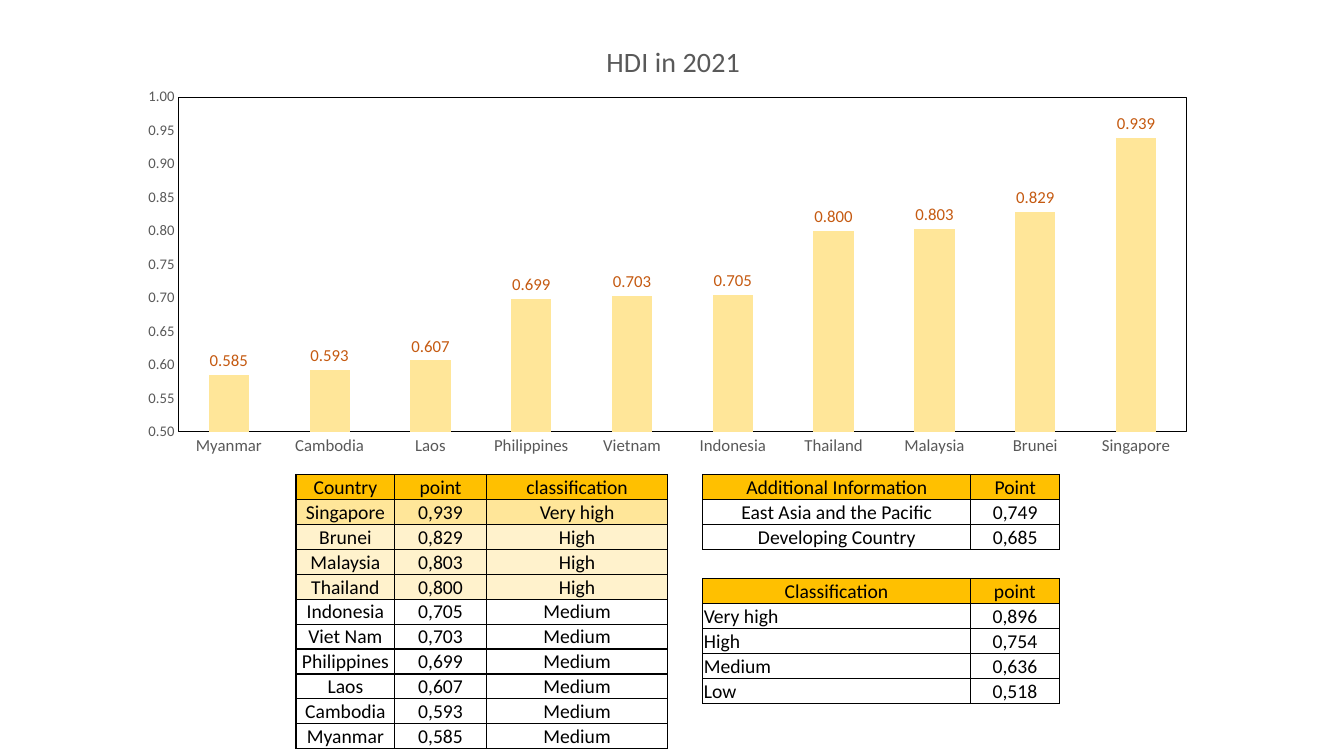
from lxml.etree import SubElement
from pptx import Presentation
from pptx.chart.data import CategoryChartData
from pptx.dml.color import RGBColor
from pptx.enum.chart import XL_CHART_TYPE, XL_LABEL_POSITION, XL_TICK_MARK
from pptx.enum.text import MSO_ANCHOR, PP_ALIGN
from pptx.oxml import parse_xml
from pptx.oxml.ns import nsdecls, qn
from pptx.util import Pt

COLORS = {
    "text": "000000",
    "axis": "595959",
    "label": "C55A11",
    "header": "FFC000",
    "very high": "FFE699",
    "high": "FFF2CC",
    "plain": "FFFFFF",
}
FONT = "Calibri"
ROW_HEIGHT = 17.6
CHART_WIDTH, CHART_HEIGHT = 772.5, 322.5


def style_font(font, size, color):
    font.name = FONT
    font.size = Pt(size)
    font.bold = False
    font.color.rgb = RGBColor.from_string(COLORS[color])


def place_in_chart(element, position, **lengths):
    """Fix a chart part at x, y, w, h, given in points within the chart."""
    layout = element.find(qn("c:layout"))
    if layout is None:
        layout = element.makeelement(qn("c:layout"))
        element.insert(position, layout)
    manual = SubElement(layout, qn("c:manualLayout"))
    if "w" in lengths:
        SubElement(manual, qn("c:layoutTarget")).set("val", "inner")
    for side in "xy":
        SubElement(manual, qn(f"c:{side}Mode")).set("val", "edge")
    for side, length in lengths.items():
        whole = CHART_WIDTH if side in "xw" else CHART_HEIGHT
        SubElement(manual, qn(f"c:{side}")).set("val", str(length / whole))


presentation = Presentation()
presentation.slide_width = Pt(960)
presentation.slide_height = Pt(540)
slide = presentation.slides.add_slide(presentation.slide_layouts[6])

# Tables: left, top, column widths, fills of the rows, alignment of column one, rows
tables = [
    (211.5, 339, [70.5, 65.5, 129.5],
     ["header", "very high"] + ["high"] * 3 + ["plain"] * 6, PP_ALIGN.CENTER, [
        ("Country", "point", "classification"),
        ("Singapore", "0,939", "Very high"),
        ("Brunei", "0,829", "High"),
        ("Malaysia", "0,803", "High"),
        ("Thailand", "0,800", "High"),
        ("Indonesia", "0,705", "Medium"),
        ("Viet Nam", "0,703", "Medium"),
        ("Philippines", "0,699", "Medium"),
        ("Laos", "0,607", "Medium"),
        ("Cambodia", "0,593", "Medium"),
        ("Myanmar", "0,585", "Medium"),
    ]),
    (502, 339, [191.5, 63.5], ["header"] + ["plain"] * 2, PP_ALIGN.CENTER, [
        ("Additional Information", "Point"),
        ("East Asia and the Pacific", "0,749"),
        ("Developing Country", "0,685"),
    ]),
    (502, 413.5, [191, 64], ["header"] + ["plain"] * 4, PP_ALIGN.LEFT, [
        ("Classification", "point"),
        ("Very high", "0,896"),
        ("High", "0,754"),
        ("Medium", "0,636"),
        ("Low", "0,518"),
    ]),
]
for left, top, widths, fills, first_alignment, rows in tables:
    table = slide.shapes.add_table(
        len(rows), len(widths), Pt(left), Pt(top),
        Pt(sum(widths)), Pt(ROW_HEIGHT * len(rows))).table
    for column, width in zip(table.columns, widths):
        column.width = Pt(width)
    for row_index, (values, fill) in enumerate(zip(rows, fills)):
        table.rows[row_index].height = Pt(ROW_HEIGHT)
        for column_index, value in enumerate(values):
            cell = table.cell(row_index, column_index)
            cell.margin_left = cell.margin_right = cell.margin_top = Pt(0.75)
            cell.margin_bottom = 0
            cell.vertical_anchor = MSO_ANCHOR.BOTTOM
            cell.text = value
            paragraph = cell.text_frame.paragraphs[0]
            in_body = row_index > 0 and column_index == 0
            paragraph.alignment = first_alignment if in_body else PP_ALIGN.CENTER
            style_font(paragraph.font, 14, "text")
            properties = cell._tc.get_or_add_tcPr()
            for side in ("lnL", "lnR", "lnT", "lnB"):
                border = SubElement(properties, qn(f"a:{side}"), w=str(Pt(1)))
                line_fill = SubElement(border, qn("a:solidFill"))
                SubElement(line_fill, qn("a:srgbClr"), val=COLORS["text"])
            cell.fill.solid()
            cell.fill.fore_color.rgb = RGBColor.from_string(COLORS[fill])

# Chart
chart_data = CategoryChartData(number_format="0.000")
chart_data.categories = [
    "Myanmar", "Cambodia", "Laos", "Philippines", "Vietnam",
    "Indonesia", "Thailand", "Malaysia", "Brunei", "Singapore"]
chart_data.add_series("Series 1", [
    0.585, 0.593, 0.607, 0.699, 0.703, 0.705, 0.8, 0.803, 0.829, 0.939])
chart = slide.shapes.add_chart(
    XL_CHART_TYPE.COLUMN_CLUSTERED, Pt(90.5), Pt(9.5),
    Pt(CHART_WIDTH), Pt(CHART_HEIGHT), chart_data).chart
style_font(chart.font, 10, "text")
chart.has_legend = False
chart.has_title = True
title_frame = chart.chart_title.text_frame
title_frame.text = "HDI in 2021"
style_font(title_frame.paragraphs[0].font, 20, "axis")
place_in_chart(chart.chart_title._element, 1, x=339, y=17)

plot = chart.plots[0]
plot.gap_width = 150
plot.vary_by_categories = False
bars = plot.series[0].format.fill
bars.solid()
bars.fore_color.rgb = RGBColor.from_string(COLORS["very high"])
plot.has_data_labels = True
labels = plot.data_labels
labels.show_value = True
labels.position = XL_LABEL_POSITION.OUTSIDE_END
labels.number_format = "0.000"
labels.number_format_is_linked = False
style_font(labels.font, 12, "label")

for axis, size in ((chart.category_axis, 12), (chart.value_axis, 10.5)):
    axis.has_major_gridlines = False
    axis.major_tick_mark = axis.minor_tick_mark = XL_TICK_MARK.NONE
    style_font(axis.tick_labels.font, size, "axis")
category_line = chart.category_axis.format.line
category_line.width = Pt(0.75)
category_line.color.rgb = RGBColor.from_string(COLORS["text"])
value_axis = chart.value_axis
value_axis.format.line.fill.background()
value_axis.minimum_scale = 0.5
value_axis.maximum_scale = 1
value_axis.major_unit = 0.05
value_axis.tick_labels.number_format = "0.00"
value_axis.tick_labels.number_format_is_linked = False

plot_area = chart._chartSpace.chart.plotArea
place_in_chart(plot_area, 0, x=37, y=60, w=720, h=239)
plot_area.append(parse_xml(
    f'<c:spPr {nsdecls("c", "a")}><a:noFill/><a:ln w="{Pt(0.75)}"><a:solidFill>'
    f'<a:srgbClr val="{COLORS["text"]}"/></a:solidFill></a:ln></c:spPr>'))

presentation.save("out.pptx")
